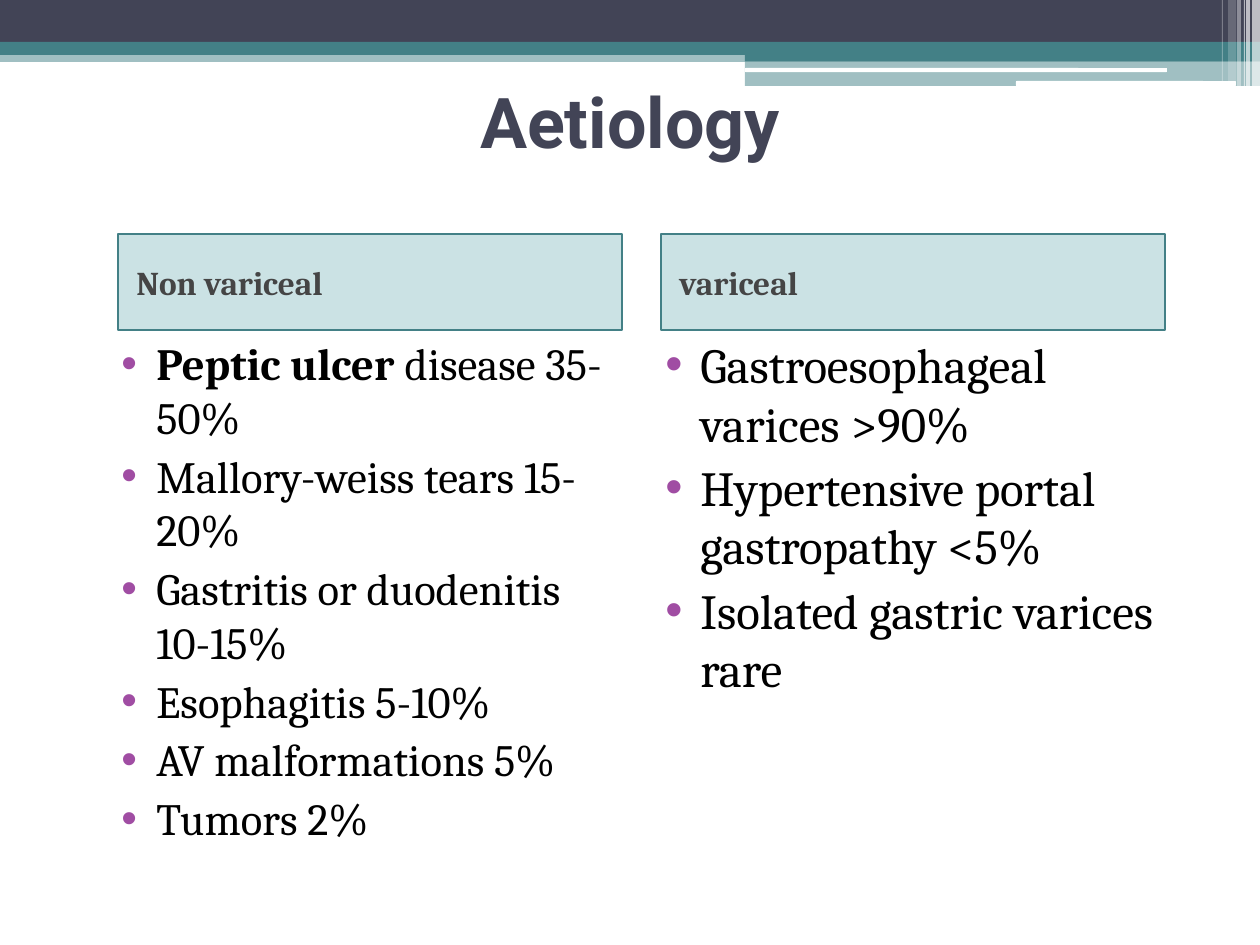
from lxml import etree
from pptx import Presentation
from pptx.dml.color import RGBColor
from pptx.enum.shapes import MSO_SHAPE
from pptx.enum.text import MSO_ANCHOR, PP_ALIGN
from pptx.oxml.ns import qn
from pptx.util import Pt

EMU_PER_PX = 914400 / 126
COLORS = {
    "navy": "424456", "teal": "438086", "heading fill": "328E97",
    "heading text": "454545", "bullet": "A04DA3", "black": "000000",
    "white": "FFFFFF",
}
BODY_FONT = "Cambria"

# left, top, width, height, color, opacity in percent
BANDS = [
    (0, 50, 1260, 12, "teal", 50),
    (0, 0, 1260, 42, "navy", 100),
    (0, 42, 1260, 13, "teal", 100),
    (745, 49, 515, 12, "teal", 100),
    (745, 61, 515, 25, "teal", 50),
]
WHITE_LINES = [(745, 68, 422, 4), (1016, 81, 220, 5)]
# left, width, height, opacity in percent
STRIPES = [
    (1252, 8, 86, 65), (1246, 4, 86, 65), (1244, 1, 86, 60),
    (1237, 4, 86, 40), (1228, 8, 81, 20), (1222, 1, 81, 30),
]
# Each item is a list of (text, bold) runs
NON_VARICEAL = [
    [("Peptic ulcer ", True), ("disease 35-50%", False)],
    [("Mallory-weiss tears 15-20%", False)],
    [("Gastritis or duodenitis 10-15%", False)],
    [("Esophagitis 5-10%", False)],
    [("AV malformations 5%", False)],
    [("Tumors 2%", False)],
]
VARICEAL = [
    [("Gastroesophageal varices >90%", False)],
    [("Hypertensive portal gastropathy <5%", False)],
    [("Isolated gastric varices rare", False)],
]


def px(length):
    return round(length * EMU_PER_PX)


def rgb(name):
    return RGBColor.from_string(COLORS[name])


def add_block(slide, box, color, opacity=100, kind=MSO_SHAPE.RECTANGLE):
    """Add a borderless filled shape."""
    shape = slide.shapes.add_shape(kind, *map(px, box))
    shape.shadow.inherit = False
    shape.fill.solid()
    shape.fill.fore_color.rgb = rgb(color)
    shape.line.fill.background()
    if opacity < 100:
        fill_color = shape.fill._xPr.find(qn("a:solidFill"))[0]
        etree.SubElement(fill_color, qn("a:alpha"), val=str(opacity * 1000))
    return shape


def add_run(paragraph, text, size, font, color, bold):
    run = paragraph.add_run()
    run.text = text
    run.font.size = Pt(size)
    run.font.name = font
    run.font.bold = bold
    run.font.color.rgb = rgb(color)


def add_text_box(slide, box):
    text_frame = slide.shapes.add_textbox(*map(px, box)).text_frame
    text_frame.word_wrap = True
    return text_frame


def add_header_band(slide):
    for *box, color, opacity in BANDS:
        add_block(slide, box, color, opacity)
    for box in WHITE_LINES:
        add_block(slide, box, "white", kind=MSO_SHAPE.ROUNDED_RECTANGLE)
    for left, width, height, opacity in STRIPES:
        add_block(slide, (left, 0, width, height), "white", opacity)


def add_title(slide, text):
    text_frame = add_text_box(slide, (63, 42, 1134, 157))
    text_frame.vertical_anchor = MSO_ANCHOR.MIDDLE
    paragraph = text_frame.paragraphs[0]
    paragraph.alignment = PP_ALIGN.CENTER
    add_run(paragraph, text, 40, "Roboto", "navy", True)


def add_heading(slide, left, text):
    shape = add_block(slide, (left, 234, 504, 96), "heading fill", 25)
    shape.line.color.rgb = rgb("teal")
    shape.line.width = Pt(1)
    text_frame = shape.text_frame
    text_frame.word_wrap = True
    text_frame.vertical_anchor = MSO_ANCHOR.MIDDLE
    paragraph = text_frame.paragraphs[0]
    paragraph.alignment = PP_ALIGN.LEFT
    paragraph._p.get_or_add_pPr().set("marL", str(px(6)))
    add_run(paragraph, text, 19, BODY_FONT, "heading text", True)


def set_bullet(paragraph):
    properties = paragraph._p.get_or_add_pPr()
    properties.set("marL", str(px(50)))
    properties.set("indent", str(px(-35)))
    bullet_color = etree.SubElement(properties, qn("a:buClr"))
    etree.SubElement(bullet_color, qn("a:srgbClr"), val=COLORS["bullet"])
    etree.SubElement(properties, qn("a:buFont"), typeface="Arial")
    etree.SubElement(properties, qn("a:buChar"), char="•")


def add_bullet_list(slide, box, items, size):
    text_frame = add_text_box(slide, box)
    for index, runs in enumerate(items):
        paragraph = text_frame.add_paragraph() if index else text_frame.paragraphs[0]
        set_bullet(paragraph)
        if index:
            paragraph.space_before = Pt(3)
        for text, bold in runs:
            add_run(paragraph, text, size, BODY_FONT, "black", bold)


def main():
    presentation = Presentation()
    presentation.slide_width = px(1260)
    presentation.slide_height = px(945)
    slide = presentation.slides.add_slide(presentation.slide_layouts[6])
    add_header_band(slide)
    add_title(slide, "Aetiology")
    add_heading(slide, 118, "Non variceal")
    add_heading(slide, 661, "variceal")
    add_bullet_list(slide, (94, 330, 528, 467), NON_VARICEAL, 25.5)
    add_bullet_list(slide, (638, 328, 528, 471), VARICEAL, 28)
    presentation.save("out.pptx")


if __name__ == "__main__":
    main()
